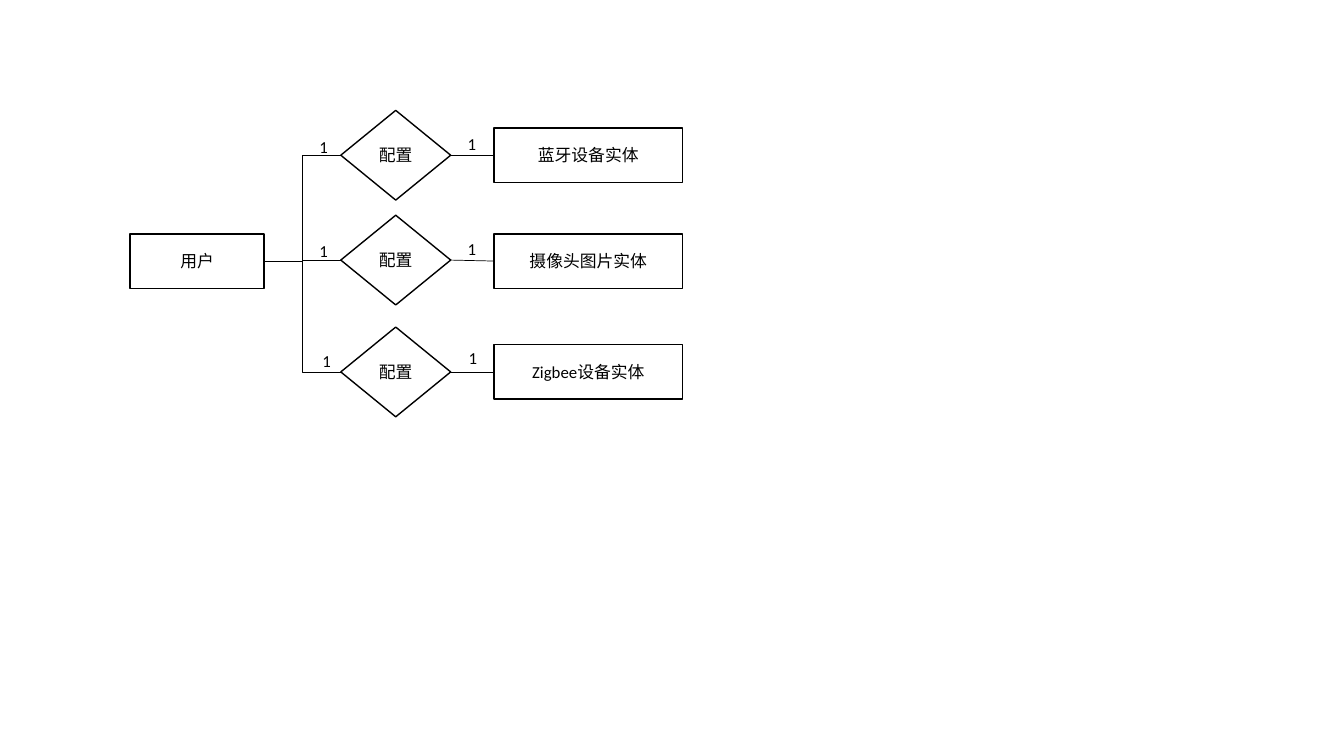
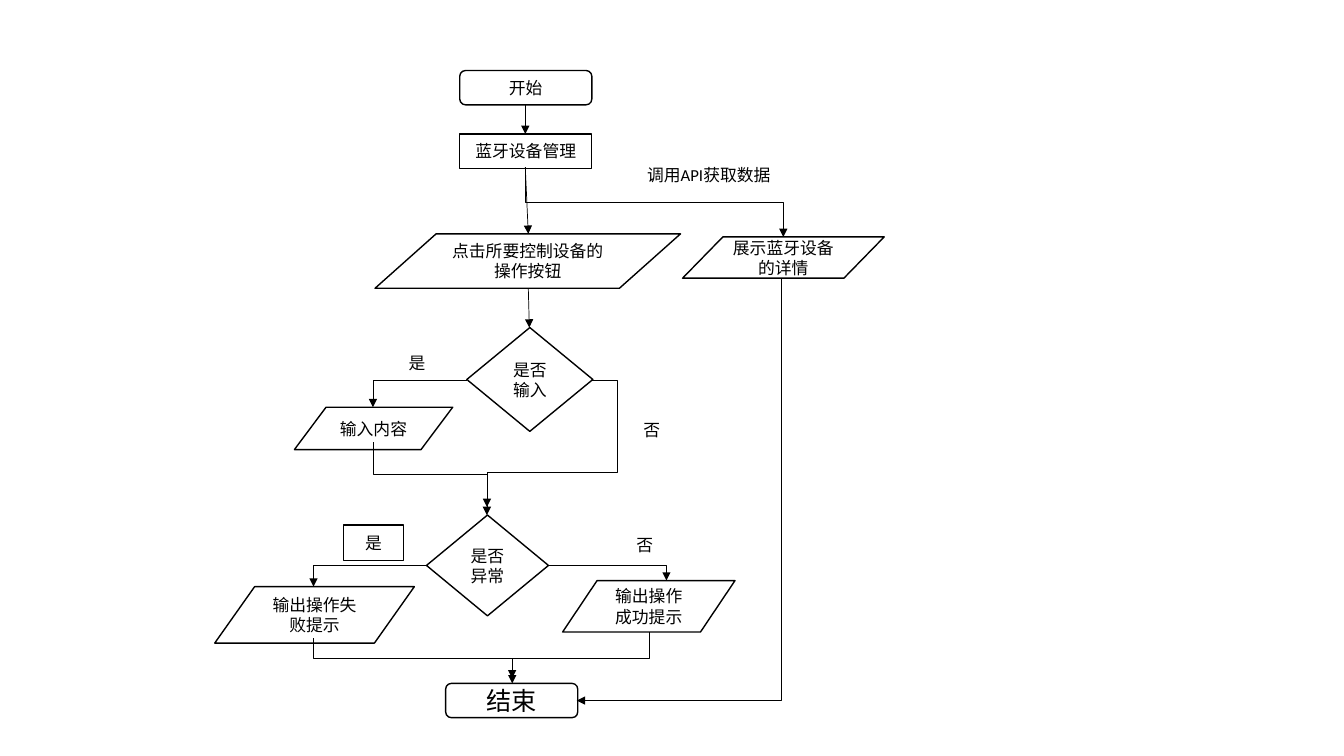
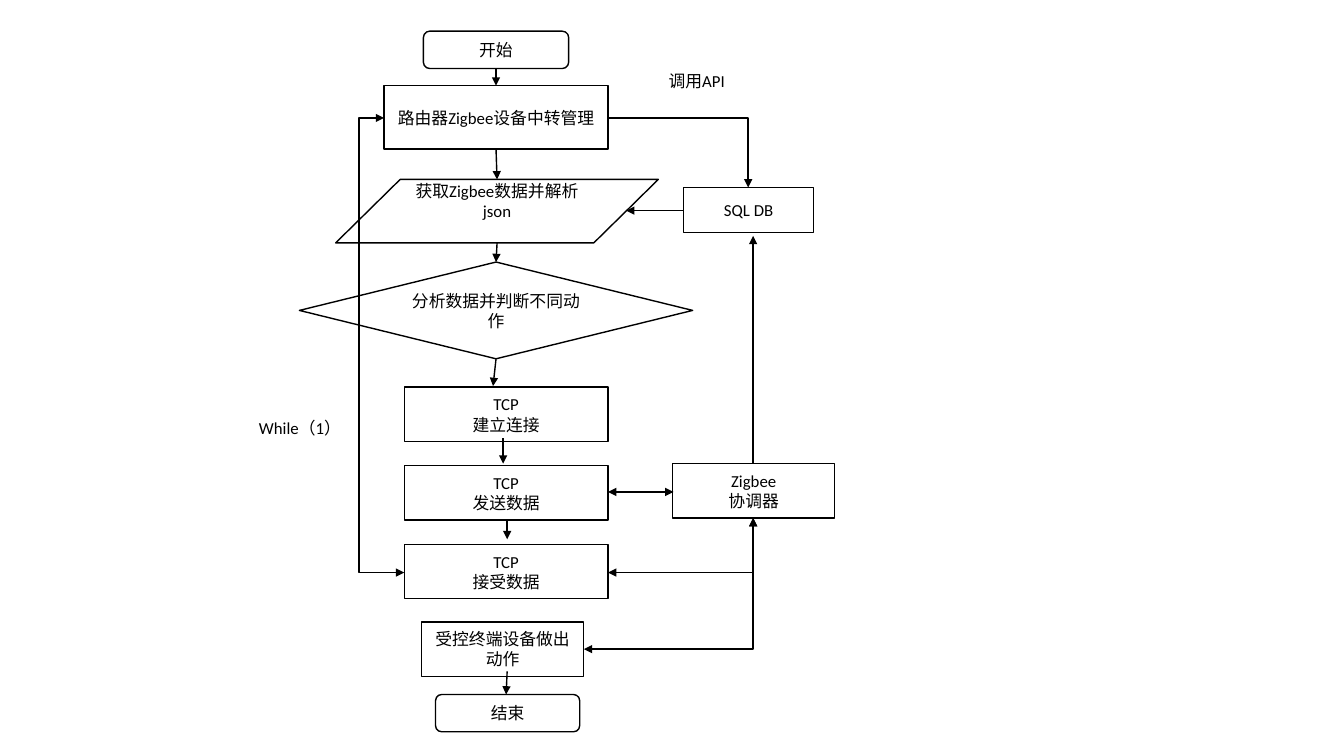
from lxml import etree
from pptx import Presentation
from pptx import util as u
from pptx.dml import color
from pptx.enum import shapes, text
from pptx.oxml import ns

BOX = shapes.MSO_SHAPE.RECTANGLE
TERMINAL = shapes.MSO_SHAPE.FLOWCHART_ALTERNATE_PROCESS
DECISION = shapes.MSO_SHAPE.FLOWCHART_DECISION
DATA = shapes.MSO_SHAPE.FLOWCHART_DATA


def rgb(code):
    """Turn a hex string into a colour."""
    return color.RGBColor.from_string(code)


def add_tag(parent, tag, **attributes):
    """Append a drawing element with the given attributes."""
    return etree.SubElement(parent, ns.qn("a:" + tag), attributes)


class Diagram:
    """The style of the flowcharts and the slide being drawn."""

    FONT, INK, PAPER = "Calibri", "000000", "FFFFFF"

    def __init__(self):
        """Start an empty widescreen deck."""
        self.deck = Presentation()
        self.deck.slide_width = u.Inches(13.33)
        self.deck.slide_height = u.Inches(7.5)

    def new_slide(self, weight):
        """Open a blank slide whose connectors have this weight in points."""
        self.slide = self.deck.slides.add_slide(self.deck.slide_layouts[6])
        self.weight = weight

    def node(self, wording, left, top, width, height, kind=BOX, size=12,
             border=INK, bottom=0.05):
        """Draw a flowchart step with centred text."""
        step = self.slide.shapes.add_shape(
            kind, *(u.Inches(n) for n in (left, top, width, height)))
        step.shadow.inherit = False
        step.fill.solid()
        step.fill.fore_color.rgb = rgb(self.PAPER)
        step.line.color.rgb = rgb(border)
        step.line.width = u.Pt(1)
        frame = step.text_frame
        frame.text = wording
        frame.word_wrap = True
        frame.vertical_anchor = text.MSO_ANCHOR.MIDDLE
        frame.margin_bottom = u.Inches(bottom)
        for paragraph in frame.paragraphs:
            paragraph.alignment = text.PP_ALIGN.CENTER
            for run in paragraph.runs:
                run.font.name = self.FONT
                run.font.size = u.Pt(size)
                run.font.color.rgb = rgb(self.INK)

    def label(self, wording, left, top, width=0.59, height=0.35):
        """Write a caption without a visible border."""
        self.node(wording, left, top, width, height, border=self.PAPER)

    def finish_line(self, link, ends):
        """Format a connector; ends names the sides with an arrowhead."""
        link.line.color.rgb = rgb(self.INK)
        link.line.width = u.Pt(self.weight)
        stroke = link.line._get_or_add_ln()
        for end in ends:
            add_tag(stroke, end + "End", type="triangle")
        add_tag(link._element.spPr, "effectLst")

    def straight(self, start, stop, ends=("tail",)):
        """Join two points with a straight connector."""
        link = self.slide.shapes.add_connector(
            shapes.MSO_CONNECTOR.STRAIGHT,
            *(u.Inches(n) for n in (*start, *stop)))
        self.finish_line(link, ends)

    def elbow(self, *points, ends=("tail",)):
        """Join the first and last point with right angles at the others."""
        start, stop = points[0], points[-1]
        down = points[1][0] == start[0]
        along, across = (1, 0) if down else (0, 1)
        run = stop[along] - start[along]
        rise = stop[across] - start[across]
        middle_x, middle_y = ((a + b) / 2 for a, b in zip(start, stop))
        # A quarter turn makes the first leg vertical and mirrors the other.
        half_run, half_rise = run / 2, (-rise if down else rise) / 2
        link = self.slide.shapes.add_connector(
            shapes.MSO_CONNECTOR.ELBOW,
            u.Inches(middle_x - half_run), u.Inches(middle_y - half_rise),
            u.Inches(middle_x + half_run), u.Inches(middle_y + half_rise))
        properties = link._element.spPr
        if down:
            properties.find(ns.qn("a:xfrm")).set("rot", str(90 * 60000))
        geometry = properties.find(ns.qn("a:prstGeom"))
        geometry.set("prst", f"bentConnector{len(points) - 1}")
        guides = geometry.find(ns.qn("a:avLst"))
        if guides is None:
            guides = add_tag(geometry, "avLst")
        shares = []
        if len(points) > 3:
            shares.append((points[1][along] - start[along]) / run)
        if len(points) > 4:
            shares.append((points[2][across] - start[across]) / rise)
        for number, share in enumerate(shares, 1):
            name = "adj1" if len(shares) == 1 else f"adj{number}"
            add_tag(guides, "gd", name=name, fmla=f"val {round(share * 100000)}")
        self.finish_line(link, ends)


def entity_slide(d):
    """Relations between the user and the three entities."""
    d.new_slide(0.5)
    d.node("用户", 1.29, 2.32, 1.33, 0.54)
    rows = [("蓝牙设备实体", 1.54, 1.27, (3.07, 1.37), (4.54, 1.34)),
            ("摄像头图片实体", 2.58, 2.32, (3.07, 2.4), (4.54, 2.38)),
            ("Zigbee设备实体", 3.69, 3.42, (3.1, 3.49), (4.55, 3.46))]
    for entity, axis, top, user_count, entity_count in rows:
        d.node(entity, 4.9, top, 1.87, 0.54)
        d.node("配置", 3.38, axis - 0.445, 1.09, 0.89, DECISION)
        for count in (user_count, entity_count):
            d.label("1", *count, 0.23, 0.18)
        d.straight((4.46, axis), (4.9, top + 0.27), ends=())
        d.elbow((2.62, 2.59), (3, 2.59), (3, axis), (3.38, axis), ends=())


def bluetooth_slide(d):
    """Flow of controlling a Bluetooth device."""
    d.new_slide(0.5)
    d.node("开始", 4.56, 0.7, 1.31, 0.34, TERMINAL)
    d.node("蓝牙设备管理", 4.56, 1.33, 1.31, 0.34)
    d.node("点击所要控制设备的操作按钮", 3.72, 2.32, 3.03, 0.54, DATA)
    d.node("展示蓝牙设备的详情", 6.77, 2.35, 2, 0.41, DATA)
    d.node("是否输入", 4.63, 3.25, 1.25, 1.03, DECISION)
    d.node("输入内容", 2.92, 4.04, 1.57, 0.42, DATA)
    d.node("是否异常", 4.23, 5.11, 1.21, 1, DECISION)
    d.node("输出操作失败提示", 2.13, 5.82, 1.98, 0.56, DATA)
    d.node("输出操作成功提示", 5.58, 5.76, 1.71, 0.51, DATA)
    d.node("结束", 4.42, 6.78, 1.31, 0.34, TERMINAL, size=18)
    d.node("是", 3.41, 5.21, 0.59, 0.35)
    d.label("是", 3.84, 3.42)
    d.label("否", 6.17, 4.09)
    d.label("否", 6.1, 5.23)
    d.label("调用API获取数据", 5.95, 1.53, 2.16, 0.41)

    d.straight((5.21, 1.04), (5.21, 1.33))
    d.straight((5.21, 1.66), (5.24, 2.32))
    d.straight((5.24, 2.86), (5.25, 3.25))
    d.elbow((5.21, 1.66), (5.21, 2.01), (7.77, 2.01), (7.77, 2.35))
    d.elbow((7.75, 2.76), (7.75, 6.95), (5.72, 6.95))
    d.elbow((4.63, 3.77), (3.7, 3.77), (3.7, 4.04))
    d.elbow((3.7, 4.39), (3.7, 4.71), (4.83, 4.71), (4.83, 5.03))
    d.elbow((5.87, 3.77), (6.12, 3.77), (6.12, 4.69), (4.83, 4.69), (4.83, 5.11))
    d.elbow((4.23, 5.61), (3.11, 5.61), (3.11, 5.82))
    d.elbow((5.44, 5.61), (6.61, 5.61), (6.61, 5.76))
    d.elbow((3.11, 6.33), (3.11, 6.53), (5.08, 6.53), (5.08, 6.73))
    d.elbow((6.44, 6.27), (6.44, 6.53), (5.08, 6.53), (5.08, 6.78))


def zigbee_slide(d):
    """Flow of relaying Zigbee data over TCP."""
    d.new_slide(1)
    d.node("开始", 4.2, 0.31, 1.44, 0.37, TERMINAL)
    d.node("路由器Zigbee设备中转管理", 3.81, 0.85, 2.22, 0.63)
    d.node("获取Zigbee数据并解析json", 3.33, 1.78, 3.2, 0.63, DATA, bottom=0.25)
    d.node("分析数据并判断不同动作", 2.97, 2.6, 3.9, 0.96, DECISION)
    for action, top in (("建立连接", 3.84), ("发送数据", 4.62), ("接受数据", 5.4)):
        d.node("TCP\n" + action, 4.01, top, 2.02, 0.54)
    d.node("受控终端设备做出动作", 4.18, 6.17, 1.61, 0.54)
    d.node("结束", 4.32, 6.89, 1.43, 0.37, TERMINAL)
    d.node("SQL DB", 6.78, 1.86, 1.29, 0.45)
    d.node("Zigbee\n协调器", 6.67, 4.6, 1.61, 0.54)
    d.label("调用API", 6.19, 0.6, 1.44, 0.41)
    d.label("While（1）", 2.36, 4.04, 1.23, 0.41)

    for start, stop in [((4.92, 0.68), (4.92, 0.85)),
                        ((4.92, 1.48), (4.93, 1.78)),
                        ((4.93, 2.41), (4.92, 2.6)),
                        ((4.92, 3.56), (4.89, 3.83)),
                        ((4.99, 4.35), (4.99, 4.6)),
                        ((5.03, 5.16), (5.03, 5.35)),
                        ((5.03, 6.66), (5.02, 6.89)),
                        ((7.47, 4.6), (7.47, 2.34)),
                        ((6.78, 2.09), (6.21, 2.09))]:
        d.straight(start, stop)
    both = ("head", "tail")
    d.straight((6.03, 4.88), (6.68, 4.88), ends=both)
    d.elbow((6.03, 1.17), (7.42, 1.17), (7.42, 1.86))
    d.elbow((3.81, 1.17), (3.56, 1.17), (3.56, 5.68), (4.01, 5.68), ends=both)
    for stop in ((6.03, 5.68), (5.79, 6.44)):
        d.elbow((7.47, 5.14), (7.47, stop[1]), stop, ends=both)


diagram = Diagram()
for draw in (entity_slide, bluetooth_slide, zigbee_slide):
    draw(diagram)
diagram.deck.save("out.pptx")
